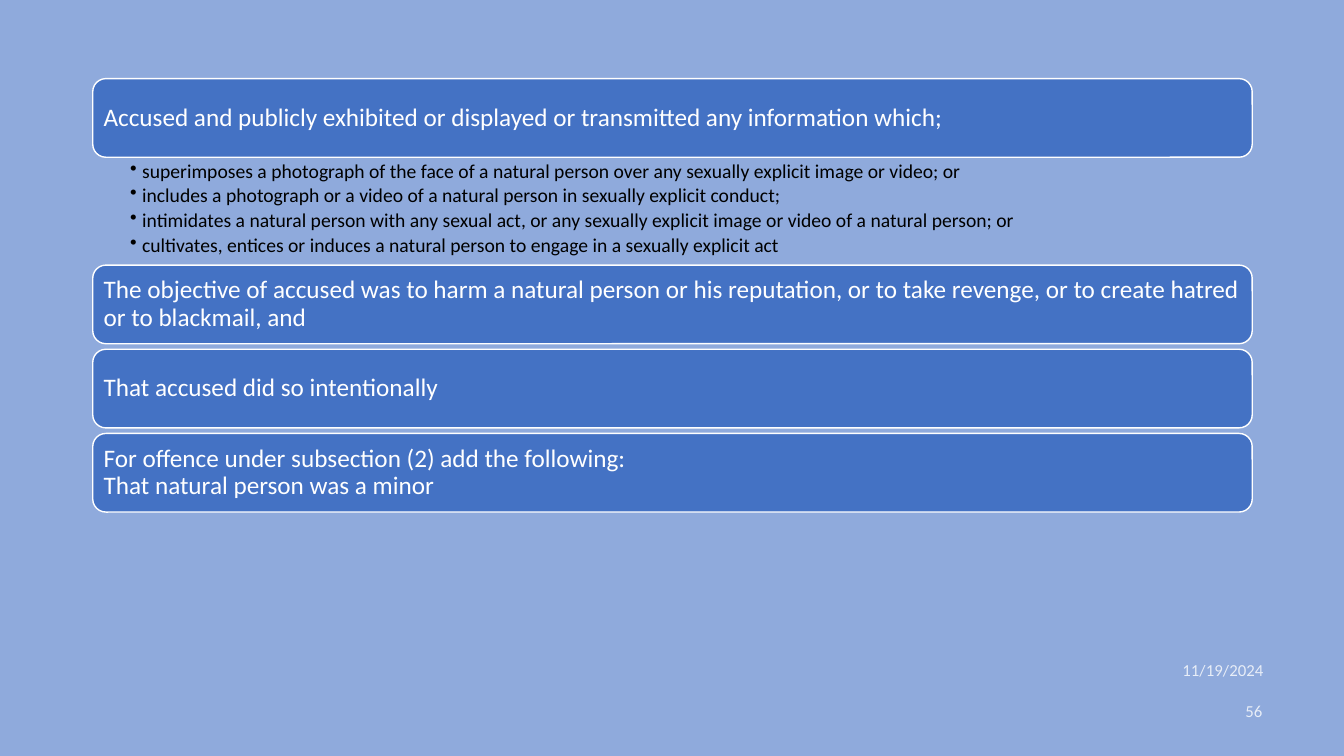
from dataclasses import dataclass

from lxml import etree
from pptx import Presentation
from pptx.dml.color import RGBColor
from pptx.enum.shapes import MSO_SHAPE
from pptx.enum.text import MSO_ANCHOR, PP_ALIGN
from pptx.oxml.ns import qn
from pptx.util import Inches, Pt

ROUND = MSO_SHAPE.ROUNDED_RECTANGLE
MIDDLE, TOP = MSO_ANCHOR.MIDDLE, MSO_ANCHOR.TOP
LEFT, RIGHT = PP_ALIGN.LEFT, PP_ALIGN.RIGHT

FONT = "Calibri"
WHITE, BLACK, BLUE, SKY = "FFFFFF", "000000", "4472C4", "8FAADC"
EDGE, WIDTH, HEIGHT = 0.92, 11.5, 0.78
INDENT = 0.12


@dataclass
class Bar:
    top: float
    text: str


@dataclass
class Footer:
    left: float
    top: float
    width: float
    text: str


STEP = 0.835
FIRST = 2.63
BARS = [
    Bar(0.78, "Accused and publicly exhibited or displayed or transmitted any information which;"),
    Bar(FIRST, "The objective of accused was to harm a natural person or his reputation, "
               "or to take revenge, or to create hatred or to blackmail, and"),
    Bar(FIRST + STEP, "That accused did so intentionally"),
    Bar(FIRST + 2 * STEP, "For offence under subsection (2) add the following:\v"
                          "That natural person was a minor"),
]
POINTS = [
    "superimposes a photograph of the face of a natural person over any sexually explicit image or video; or",
    "includes a photograph or a video of a natural person in sexually explicit conduct;",
    "intimidates a natural person with any sexual act, or any sexually explicit image or video of a natural person; or",
    "cultivates, entices or induces a natural person to engage in a sexually explicit act",
]
FOOTERS = [
    Footer(10.3, 6.45, 2.33, "11/19/2024"),
    Footer(11.15, 6.85, 1.47, "56"),
]


def color(code: str) -> RGBColor:
    return RGBColor.from_string(code)


def set_frame(frame, anchor, left: float, top: float, right: float) -> None:
    """Set wrapping, anchor and insets; the bottom inset equals the top one."""
    frame.word_wrap = True
    frame.vertical_anchor = anchor
    frame.margin_left, frame.margin_right = Inches(left), Inches(right)
    frame.margin_top = frame.margin_bottom = Inches(top)


def style(para, size: float, code: str, align=LEFT) -> None:
    para.alignment = align
    para.font.name = FONT
    para.font.size = Pt(size)
    para.font.color.rgb = color(code)


def add_bar(slide, bar: Bar) -> None:
    shape = slide.shapes.add_shape(
        ROUND, Inches(EDGE), Inches(bar.top), Inches(WIDTH), Inches(HEIGHT))
    shape.shadow.inherit = False
    shape.fill.solid()
    shape.fill.fore_color.rgb = color(BLUE)
    shape.line.color.rgb = color(WHITE)
    shape.line.width = Pt(1)
    frame = shape.text_frame
    set_frame(frame, MIDDLE, 0.07, 0.07, 0.07)
    frame.text = bar.text
    para = frame.paragraphs[0]
    para.line_spacing = 0.9
    style(para, 18, WHITE)


def add_points(slide, points: list[str]) -> None:
    box = slide.shapes.add_textbox(
        Inches(EDGE), Inches(1.57), Inches(WIDTH), Inches(1.06))
    frame = box.text_frame
    set_frame(frame, TOP, 0.37, 0.03, 0.14)
    frame.text = "\n".join(points)
    for para in frame.paragraphs:
        para.level = 1
        para.line_spacing = 0.9
        para.space_after = Pt(2.5)
        props = para._p.get_or_add_pPr()
        props.set("marL", str(Inches(INDENT)))
        props.set("indent", str(-Inches(INDENT)))
        etree.SubElement(props, qn("a:buChar"), char="•")
        style(para, 14, BLACK)


def add_footer(slide, item: Footer) -> None:
    box = slide.shapes.add_textbox(
        Inches(item.left), Inches(item.top), Inches(item.width), Inches(0.4))
    frame = box.text_frame
    set_frame(frame, MIDDLE, 0.1, 0.05, 0.1)
    frame.text = item.text
    para = frame.paragraphs[0]
    para.space_after = Pt(6)
    style(para, 12, WHITE, RIGHT)
    for fill in para._p.iter(qn("a:srgbClr")):
        etree.SubElement(fill, qn("a:alpha"), val="80000")


def main() -> None:
    deck = Presentation()
    deck.slide_width, deck.slide_height = Inches(13.33), Inches(7.5)
    slide = deck.slides.add_slide(deck.slide_layouts[6])
    slide.background.fill.solid()
    slide.background.fill.fore_color.rgb = color(SKY)
    for item in FOOTERS:
        add_footer(slide, item)
    for bar in BARS:
        add_bar(slide, bar)
    add_points(slide, POINTS)
    deck.save("out.pptx")


if __name__ == "__main__":
    main()
